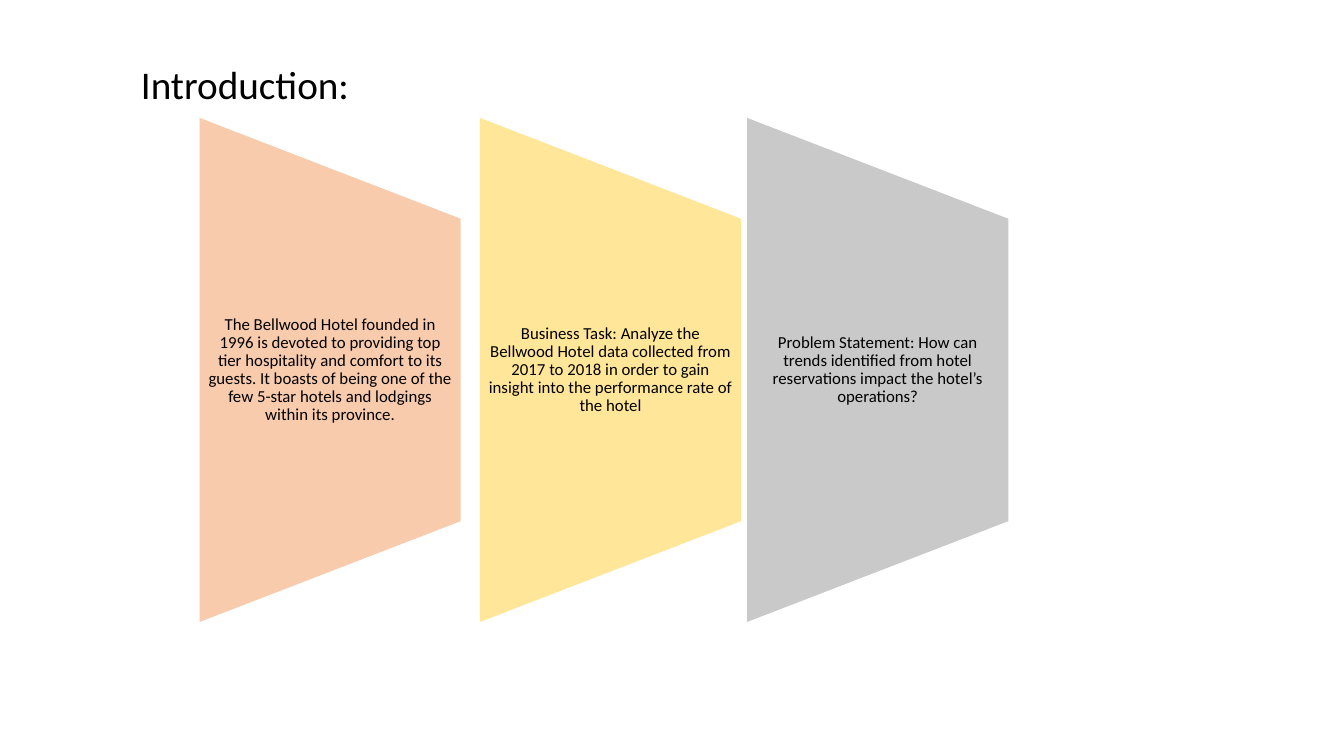
from pptx import Presentation
from pptx.dml.color import RGBColor
from pptx.enum.shapes import MSO_SHAPE as Preset
from pptx.enum.text import MSO_ANCHOR as Anchor, PP_ALIGN as Align
from pptx.util import Inches, Pt

COLORS = {"ink": "000000", "peach": "F8CBAD", "yellow": "FFE699", "gray": "C9C9C9"}

# The slide is a grid of 100 columns by 100 rows
WIDTH, HEIGHT = Inches(13.33), Inches(7.5)
COLUMN, ROW = WIDTH / 100, HEIGHT / 100

HEADING_BOX = (9.75, 8, 86.27, 63.47)
PANEL_TOP, PANEL_WIDTH, PANEL_HEIGHT = 15.6, 19.43, 66.67

# Left column, fill and statement of each panel
PANELS = [
    (14.85, "peach",
     "The Bellwood Hotel founded in 1996 is devoted to providing top tier "
     "hospitality and comfort to its guests. It boasts of being one of the "
     "few 5-star hotels and lodgings within its province."),
    (35.71, "yellow",
     "Business Task: Analyze the Bellwood Hotel data collected from 2017 to "
     "2018 in order to gain insight into the performance rate of the hotel"),
    (55.59, "gray",
     "Problem Statement: How can trends identified from hotel reservations "
     "impact the hotel’s operations?"),
]

HEADING_PARAGRAPH = {"line_spacing": 0.9, "space_before": Pt(10)}
STATEMENT_PARAGRAPH = {"line_spacing": 0.9, "space_after": Pt(4.2),
                       "alignment": Align.CENTER}
STATEMENT_FRAME = {"vertical_anchor": Anchor.MIDDLE,
                   "margin_left": Inches(0.08), "margin_right": Inches(0.08),
                   "margin_top": 0, "margin_bottom": 0}


def apply(target, values):
    for name, value in values.items():
        setattr(target, name, value)


def to_lengths(box):
    left, top, width, height = box
    return [round(length) for length in
            (left * COLUMN, top * ROW, width * COLUMN, height * ROW)]


def add_text(slide, lengths, words, size, paragraph_format, frame_format):
    frame = slide.shapes.add_textbox(*lengths).text_frame
    apply(frame, {"word_wrap": True, **frame_format})
    paragraph = frame.paragraphs[0]
    apply(paragraph, paragraph_format)
    run = paragraph.add_run()
    run.text = words
    apply(run.font, {"name": "Calibri", "size": Pt(size)})
    run.font.color.rgb = RGBColor.from_string(COLORS["ink"])


def add_heading(slide, box):
    add_text(slide, to_lengths(box), "Introduction:", 28, HEADING_PARAGRAPH, {})


def add_panel(slide, box, color, statement):
    left, top, width, height = to_lengths(box)

    # Trapezoid turned on its side around the middle of the box
    shift = (width - height) // 2
    trapezoid = slide.shapes.add_shape(
        Preset.FLOWCHART_MANUAL_OPERATION, left + shift, top - shift, height, width)
    trapezoid.rotation = 270
    trapezoid.shadow.inherit = False
    trapezoid.fill.solid()
    trapezoid.fill.fore_color.rgb = RGBColor.from_string(COLORS[color])
    trapezoid.line.fill.background()

    # Upright statement in the middle three fifths
    text_area = (left, top + height // 5, width, height * 3 // 5)
    add_text(slide, text_area, statement, 12, STATEMENT_PARAGRAPH, STATEMENT_FRAME)


def build_introduction(deck):
    slide = deck.slides.add_slide(deck.slide_layouts[6])
    add_heading(slide, HEADING_BOX)
    for left, color, statement in PANELS:
        add_panel(slide, (left, PANEL_TOP, PANEL_WIDTH, PANEL_HEIGHT), color, statement)


def main():
    deck = Presentation()
    apply(deck, {"slide_width": WIDTH, "slide_height": HEIGHT})
    build_introduction(deck)
    deck.save("out.pptx")


if __name__ == "__main__":
    main()
